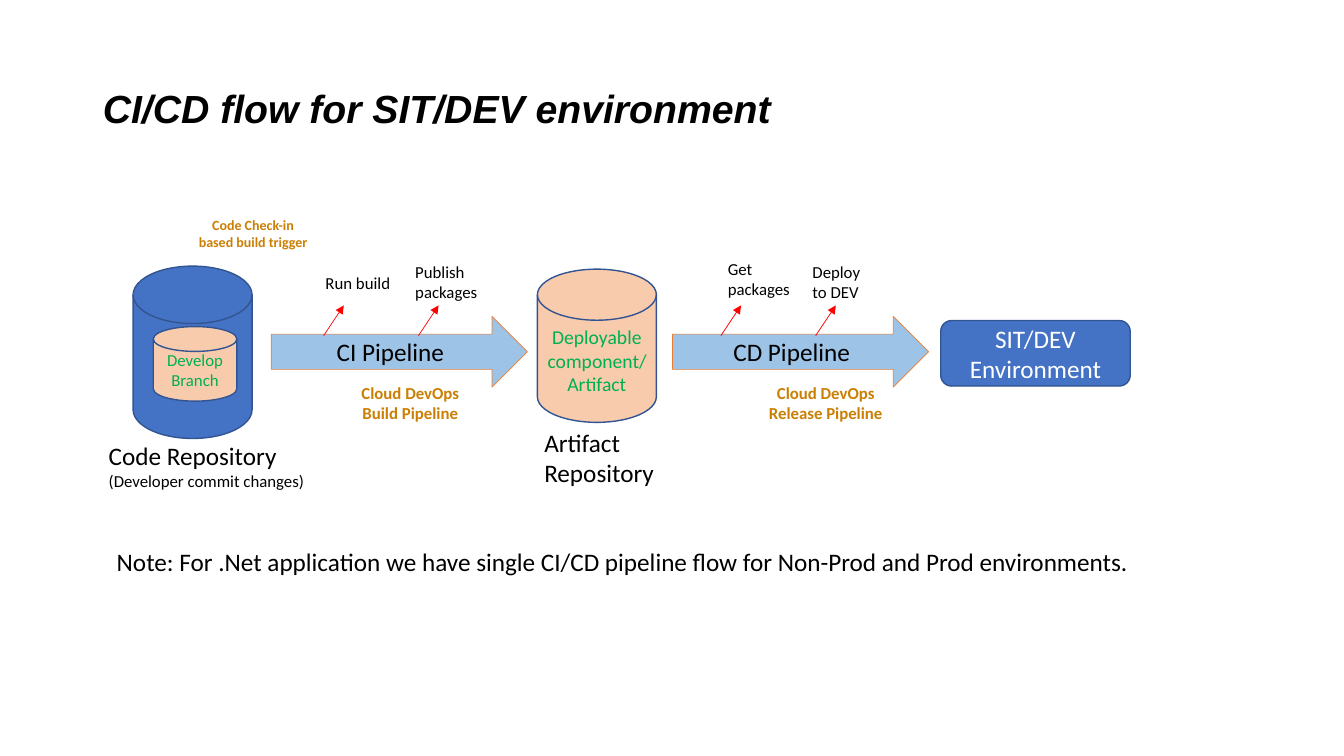
import pptx
import pptx.dml.color
import pptx.enum.shapes
import pptx.enum.text
import pptx.oxml
import pptx.oxml.ns
import pptx.util

Inches = pptx.util.Inches
ALIGN = pptx.enum.text.PP_ALIGN
ANCHOR = pptx.enum.text.MSO_ANCHOR
SHAPE = pptx.enum.shapes.MSO_SHAPE

COLORS = {
    "black": "000000", "white": "FFFFFF", "blue": "4472C4", "navy": "325491",
    "sky": "9DC3E6", "orange": "ED7D31", "peach": "F8CBAD", "green": "00B050",
    "gold": "CB7F04", "red": "FF0000",
}


def color(name):
    return pptx.dml.color.RGBColor.from_string(COLORS[name])


def write_text(frame, text, size=18, ink="black", font="Calibri", bold=False,
               italic=False, align=ALIGN.LEFT, anchor=ANCHOR.TOP, wrap=True):
    """Fill a text frame, one paragraph for each line of text."""
    frame.word_wrap = wrap
    frame.vertical_anchor = anchor
    frame.text = text
    for paragraph in frame.paragraphs:
        paragraph.alignment = align
        paragraph.font.name = font
        paragraph.font.size = pptx.util.Pt(size)
        paragraph.font.bold = bold
        paragraph.font.italic = italic
        paragraph.font.color.rgb = color(ink)


class FlowSlide:
    def __init__(self, presentation):
        self.slide = presentation.slides.add_slide(presentation.slide_layouts[5])

    def title(self, text, left, top, width, height):
        shape = self.slide.shapes.title
        shape.left, shape.top = Inches(left), Inches(top)
        shape.width, shape.height = Inches(width), Inches(height)
        write_text(shape.text_frame, text, size=28, font="Arial", bold=True,
                   italic=True, anchor=ANCHOR.MIDDLE)
        shape.text_frame.paragraphs[0].line_spacing = 0.9

    def label(self, text, left, top, width, height, **style):
        shape = self.slide.shapes.add_textbox(
            Inches(left), Inches(top), Inches(width), Inches(height))
        write_text(shape.text_frame, text, **style)
        return shape

    def caption(self, text, left, top, width, height, size=12):
        self.label(text, left, top, width, height, size=size, ink="gold",
                   bold=True, align=ALIGN.CENTER)

    def block(self, kind, left, top, width, height, fill, text="", line="navy",
              line_width=1, anchor=ANCHOR.MIDDLE, **style):
        shape = self.slide.shapes.add_shape(
            kind, Inches(left), Inches(top), Inches(width), Inches(height))
        shape.shadow.inherit = False
        shape.fill.solid()
        shape.fill.fore_color.rgb = color(fill)
        shape.line.color.rgb = color(line)
        shape.line.width = pptx.util.Pt(line_width)
        if text:
            write_text(shape.text_frame, text, align=ALIGN.CENTER,
                       anchor=anchor, **style)

    def pipeline(self, text, left):
        self.block(SHAPE.RIGHT_ARROW, left, 3.14, 2.54, 0.7, "sky", text,
                   line="orange", line_width=0.5)

    def step_arrow(self, left):
        connector = self.slide.shapes.add_connector(
            pptx.enum.shapes.MSO_CONNECTOR.STRAIGHT,
            Inches(left), Inches(3.33), Inches(left + 0.2), Inches(3.03))
        connector.line.color.rgb = color("red")
        connector.line.width = pptx.util.Pt(0.5)
        head = pptx.oxml.parse_xml(
            f'<a:tailEnd {pptx.oxml.ns.nsdecls("a")} type="triangle"/>')
        connector.line._get_or_add_ln().append(head)
        connector._element.spPr.append(pptx.oxml.parse_xml(
            f'<a:effectLst {pptx.oxml.ns.nsdecls("a")}/>'))


def main():
    presentation = pptx.Presentation()
    presentation.slide_width = Inches(13.33)
    presentation.slide_height = Inches(7.5)
    flow = FlowSlide(presentation)
    flow.title("CI/CD flow for SIT/DEV environment", 0.92, 0.37, 11.5, 1.45)

    # Source repository with its branch
    flow.block(SHAPE.FLOWCHART_MAGNETIC_DISK, 1.32, 2.64, 1.18, 1.71, "blue")
    repository = flow.label("Code Repository\n(Developer commit changes)",
                            0.98, 4.32, 2.2, 0.61)
    repository.text_frame.paragraphs[1].font.size = pptx.util.Pt(12)
    flow.block(SHAPE.FLOWCHART_MAGNETIC_DISK, 1.52, 3.24, 0.83, 0.74, "peach",
               "Develop Branch", size=12, ink="green")

    # Target environment
    flow.block(SHAPE.ROUNDED_RECTANGLE, 9.33, 3.18, 1.88, 0.65, "blue",
               "SIT/DEV\nEnvironment", ink="white")

    # Pipelines and their steps
    flow.pipeline("CI Pipeline", 2.69)
    flow.pipeline("CD Pipeline", 6.67)
    steps = [
        # text, text left, text top, text height, arrow left
        ("Run build", 3.13, 2.66, 0.3, 3.21),
        ("Publish packages", 4.02, 2.55, 0.5, 4.15),
        ("Get packages", 7.12, 2.52, 0.5, 7.15),
        ("Deploy to DEV", 7.96, 2.55, 0.5, 8.09),
    ]
    for text, left, top, height, arrow_left in steps:
        flow.step_arrow(arrow_left)
        flow.label(text, left, top, 0.84, height, size=12)

    # Artifact repository
    flow.label("Artifact Repository", 5.3, 4.19, 1.4, 0.71)
    flow.block(SHAPE.FLOWCHART_MAGNETIC_DISK, 5.33, 2.67, 1.18, 1.52, "peach",
               "Deployable component/Artifact", size=14, ink="green",
               anchor=ANCHOR.TOP)

    # Captions and note
    flow.caption("Cloud DevOps Build Pipeline", 3.31, 3.75, 1.52, 0.5)
    flow.caption("Cloud DevOps Release Pipeline", 7.43, 3.75, 1.52, 0.5)
    flow.caption("Code Check-in\nbased build trigger", 1.81, 2.1, 1.4, 0.44, size=10)
    flow.label("Note: For .Net application we have single CI/CD pipeline flow "
               "for Non-Prod and Prod environments.",
               1.06, 5.37, 10.36, 0.4, wrap=False)

    presentation.save("out.pptx")


if __name__ == "__main__":
    main()
